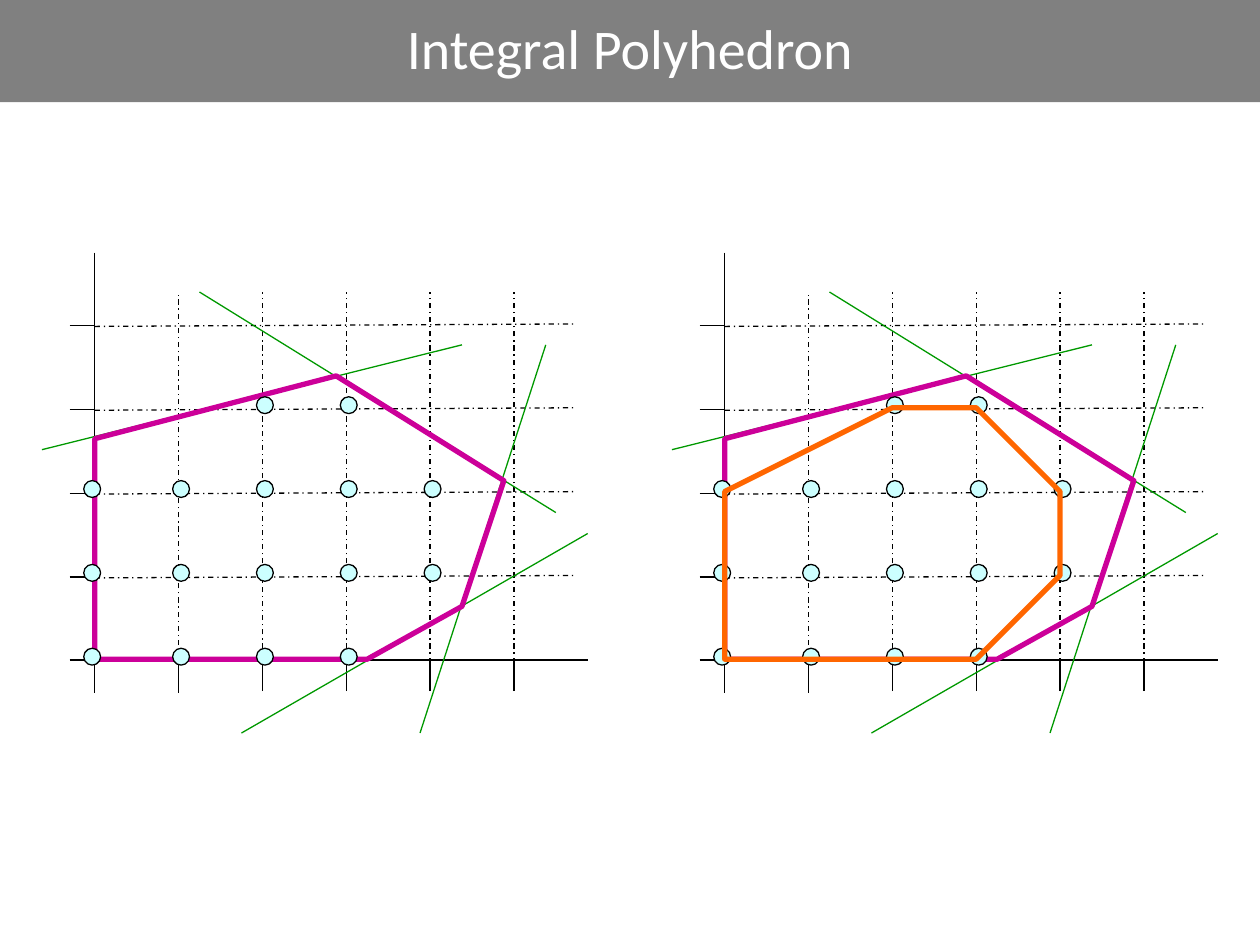
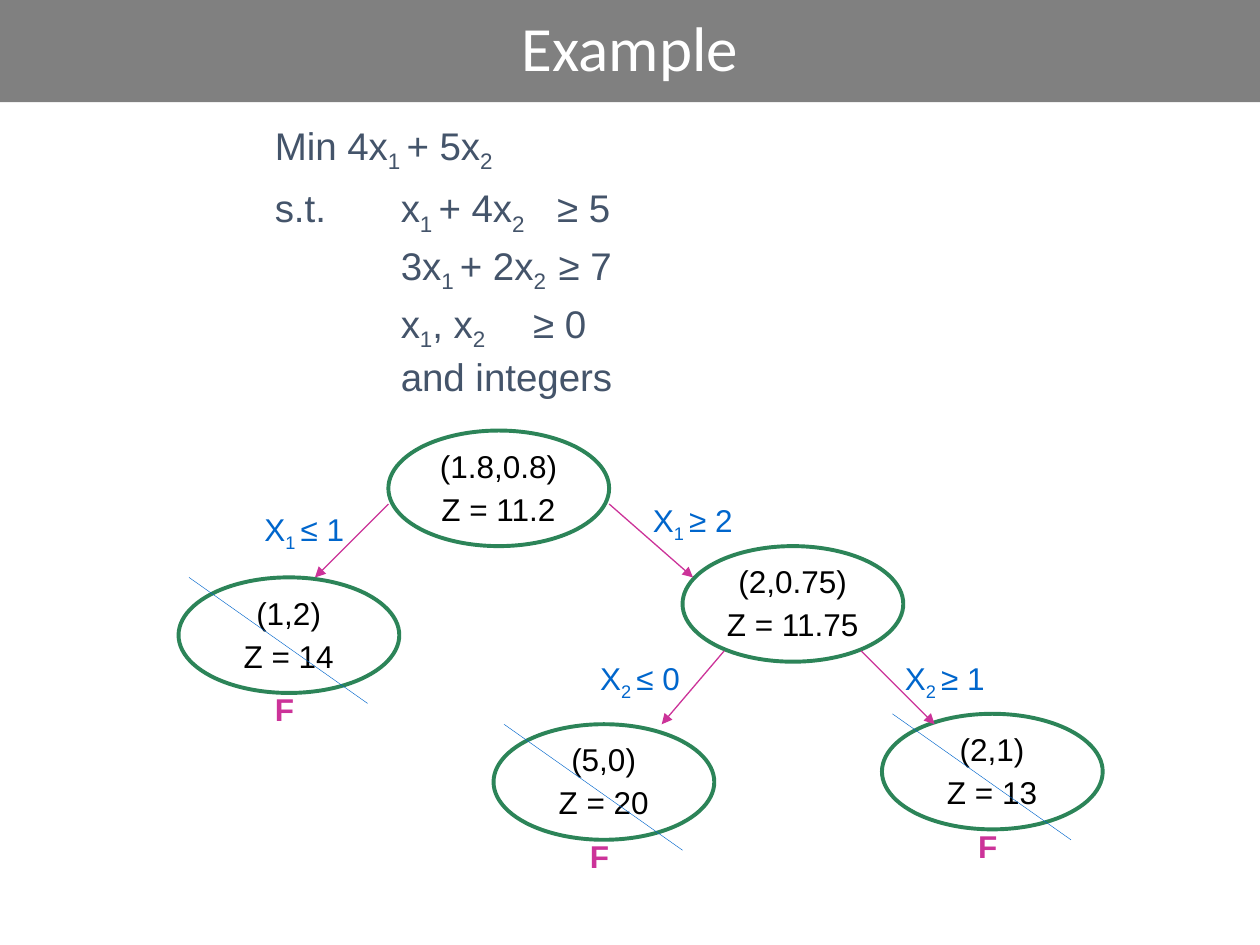
from lxml.etree import SubElement
from pptx import Presentation
from pptx.dml.color import RGBColor
from pptx.enum.dml import MSO_LINE
from pptx.enum.shapes import MSO_CONNECTOR, MSO_SHAPE
from pptx.enum.text import MSO_ANCHOR, PP_ALIGN
from pptx.oxml.ns import qn
from pptx.util import Cm, Pt

WHITE = RGBColor(0xFF, 0xFF, 0xFF)
BLACK = RGBColor(0, 0, 0)
BAND_GREY = RGBColor(0x80, 0x80, 0x80)
SLATE = RGBColor(0x44, 0x54, 0x6A)
CONSTRAINT_GREEN = RGBColor(0, 0x99, 0)
POLYHEDRON_PURPLE = RGBColor(0xCC, 0, 0x99)
HULL_ORANGE = RGBColor(0xFF, 0x66, 0)
DOT_CYAN = RGBColor(0xCC, 0xFF, 0xFF)
NODE_GREEN = RGBColor(0x2C, 0x84, 0x58)
BRANCH_PINK = RGBColor(0xCC, 0x33, 0x99)
LABEL_BLUE = RGBColor(0, 0x66, 0xCC)

PAGE_WIDTH, PAGE_HEIGHT, BAND_HEIGHT = 25.4, 19.05, 2.06

# Lattice coordinates: one unit is one grid square, (0, 0) is the axis origin.
UNIT = 1.69
DOT_SIZE = 0.34
DOTS_PER_ROW = [range(0, 4), range(0, 5), range(0, 5), range(2, 4)]
CONSTRAINTS = [
    ((-0.63, 2.5), (4.38, 3.75)),
    ((1.25, 4.38), (5.5, 1.75)),
    ((5.38, 3.75), (3.88, -0.88)),
    ((1.75, -0.88), (5.88, 1.5)),
]
POLYHEDRON = [(0, 0), (0, 2.63), (2.88, 3.38), (4.88, 2.13), (4.38, 0.63), (3.25, 0)]
INTEGER_HULL = [(0, 2), (2, 3), (3, 3), (4, 2), (4, 1), (3, 0), (0, 0)]

# Text between bars is subscript; each line has its own tab stops in cm.
PROBLEM = [
    ("Min 4x|1 |+ 5x|2", []),
    ("s.t.\tx|1 |+ 4x|2|\t≥ 5", [2.54, 5.69]),
    ("\t3x|1 |+ 2x|2|\t≥ 7", [2.54, 5.72]),
    ("\tx|1|, x|2|\t≥ 0", [2.54, 5.21]),
    ("\tand integers", [2.54]),
]

# Positions in cm from the corner of the tree.
NODE_WIDTH, NODE_HEIGHT = 4.45, 2.33
NODES = [  # left, top, solution, value, fathomed
    (4.23, 0, "(1.8,0.8)", "Z = 11.2", False),
    (0, 2.96, "(1,2)", "Z = 14", True),
    (10.16, 2.33, "(2,0.75)", "Z = 11.75", False),
    (6.35, 5.92, "(5,0)", "Z = 20", True),
    (14.18, 5.71, "(2,1)", "Z = 13", True),
]
BRANCHES = [  # start, end, label corner, label
    ((4.23, 1.48), (2.75, 2.96), (1.48, 1.48), "X|1 |≤ 1"),
    ((8.68, 1.48), (10.37, 2.96), (9.31, 1.3), "X|1 |≥ 2"),
    ((11, 4.44), (9.74, 5.92), (8.25, 4.48), "X|2 |≤ 0"),
    ((13.76, 4.44), (15.24, 5.92), (14.39, 4.48), "X|2 |≥ 1"),
]


def add_page(deck, title):
    page = deck.slides.add_slide(deck.slide_layouts[5])
    band = page.shapes.title
    band.left, band.top = Cm(0), Cm(0)
    band.width, band.height = Cm(PAGE_WIDTH), Cm(BAND_HEIGHT)
    band.fill.solid()
    band.fill.fore_color.rgb = BAND_GREY
    band.text_frame.text = title
    band.text_frame.vertical_anchor = MSO_ANCHOR.MIDDLE
    para = band.text_frame.paragraphs[0]
    para.alignment = PP_ALIGN.CENTER
    para.line_spacing = 0.9
    return page


def style_title(page, size):
    font = page.shapes.title.text_frame.paragraphs[0].runs[0].font
    font.name, font.size = "Calibri", Pt(size)
    font.color.rgb = WHITE


def add_line(page, start, end, color, width=0.75, dashed=False, arrow=False):
    line = page.shapes.add_connector(
        MSO_CONNECTOR.STRAIGHT, *[Cm(value) for value in (*start, *end)])
    line.line.color.rgb = color
    line.line.width = Pt(width)
    if dashed:
        line.line.dash_style = MSO_LINE.DASH_DOT
    if arrow:
        SubElement(line.line._get_or_add_ln(), qn("a:tailEnd"), type="triangle")
    SubElement(line._element.spPr, qn("a:effectLst"))


def add_ellipse(page, left, top, width, height, line_color, line_width, fill=None):
    ellipse = page.shapes.add_shape(
        MSO_SHAPE.OVAL, Cm(left), Cm(top), Cm(width), Cm(height))
    ellipse.shadow.inherit = False
    if fill is None:
        ellipse.fill.background()
    else:
        ellipse.fill.solid()
        ellipse.fill.fore_color.rgb = fill
    ellipse.line.color.rgb = line_color
    ellipse.line.width = Pt(line_width)


def add_outline(page, points, color):
    corners = [(Cm(x), Cm(y)) for x, y in points]
    builder = page.shapes.build_freeform(*corners[0], scale=1.0)
    builder.add_line_segments(corners[1:], close=True)
    outline = builder.convert_to_shape()
    outline.shadow.inherit = False
    outline.fill.background()
    outline.line.color.rgb = color
    outline.line.width = Pt(3)


def add_tab_stops(para, stops):
    if stops:
        tab_list = SubElement(para._p.get_or_add_pPr(), qn("a:tabLst"))
        for stop in stops:
            SubElement(tab_list, qn("a:tab"), pos=str(Cm(stop)), algn="l")


def add_text(page, left, top, width, height, lines, color, size=18, bold=False,
             align=PP_ALIGN.LEFT, line_spacing=1.0, space_before=0, tabs=()):
    """Add a text box; parts of a line between bars become subscript."""
    box = page.shapes.add_textbox(Cm(left), Cm(top), Cm(width), Cm(height))
    frame = box.text_frame
    frame.word_wrap = True
    for index, line in enumerate(lines):
        para = frame.add_paragraph() if index else frame.paragraphs[0]
        para.alignment = align
        if index:
            para.space_before = Pt(space_before)
        para.line_spacing = line_spacing
        if tabs:
            add_tab_stops(para, tabs[index])
        for position, part in enumerate(line.split("|")):
            span = para.add_run()
            span.text = part
            span.font.name, span.font.size = "Arial", Pt(size)
            span.font.bold = bold
            span.font.color.rgb = color
            if position % 2:
                span._r.get_or_add_rPr().set("baseline", "-25000")
    return frame


def draw_lattice(page, left, top, with_hull=False):
    """Draw the grid, constraints and integer points in a box at left, top."""
    def place(point):
        column, row = point
        return left + 1.06 + column * UNIT, top + 8.21 - row * UNIT

    def rule(start, end, color=BLACK, dashed=False):
        add_line(page, place(start), place(end), color, dashed=dashed)

    rule((-0.3, -0.01), (5.88, -0.01))
    rule((0, 4.85), (0, -0.4))
    for column in range(1, 6):
        first = column == 1
        rule((column, -0.4 if first else -0.33), (column, 0))
        rule((column, 0 if first else -0.38), (column, 4.35 if first else 4.38),
             dashed=True)
    for row in range(1, 5):
        rule((-0.3, row - 0.02), (0, row - 0.02))
        rule((0, row - 0.03), (5.75, row), dashed=True)
    for start, end in CONSTRAINTS:
        rule(start, end, CONSTRAINT_GREEN)
    add_outline(page, [place(point) for point in POLYHEDRON], POLYHEDRON_PURPLE)
    for row, columns in enumerate(DOTS_PER_ROW):
        for column in columns:
            shift = 0.03 if column else -0.03
            x, y = place((column + shift, row + 0.03))
            add_ellipse(page, x - DOT_SIZE / 2, y - DOT_SIZE / 2,
                        DOT_SIZE, DOT_SIZE, BLACK, 0.75, DOT_CYAN)
    if with_hull:
        add_outline(page, [place(point) for point in INTEGER_HULL], HULL_ORANGE)


def draw_problem(page, left, top):
    frame = add_text(page, left, top, 13.13, 5.33, [line for line, _ in PROBLEM],
                     SLATE, size=22, line_spacing=0.9, space_before=6,
                     tabs=[stops for _, stops in PROBLEM])
    frame.paragraphs[0].line_spacing = 1.0


def draw_node(page, left, top, solution, value, fathomed):
    add_ellipse(page, left, top, NODE_WIDTH, NODE_HEIGHT, NODE_GREEN, 2.25)
    add_text(page, left + 0.21, top + 0.41, 4.02, 1.7, [solution, value], BLACK,
             align=PP_ALIGN.CENTER, line_spacing=0.7, space_before=9.5)
    if fathomed:
        add_text(page, left + 1.69, top + 2.15, 0.85, 1.02, ["F"], BRANCH_PINK,
                 bold=True)
        add_line(page, (left + 0.21, top), (left + 3.81, top + 2.54),
                 LABEL_BLUE, width=0.25)


def draw_tree(page, left, top):
    def place(point):
        return left + point[0], top + point[1]

    for x, y, solution, value, fathomed in NODES:
        draw_node(page, *place((x, y)), solution, value, fathomed)
    for start, end, corner, label in BRANCHES:
        add_line(page, place(start), place(end), BRANCH_PINK, arrow=True)
        add_text(page, *place(corner), 2.33, 1.02, [label], LABEL_BLUE)


def build_polyhedron_page(deck):
    page = add_page(deck, "Integral Polyhedron")
    style_title(page, 32)
    draw_lattice(page, 0.85, 5.08)
    draw_lattice(page, 0.85 + PAGE_WIDTH / 2, 5.08, with_hull=True)


def build_example_page(deck):
    page = add_page(deck, "Example")
    style_title(page, 36)
    draw_problem(page, 5.29, 2.33)
    draw_tree(page, 3.6, 8.68)


def main():
    deck = Presentation()
    deck.slide_width, deck.slide_height = Cm(PAGE_WIDTH), Cm(PAGE_HEIGHT)
    build_polyhedron_page(deck)
    build_example_page(deck)
    deck.save("out.pptx")


if __name__ == "__main__":
    main()
